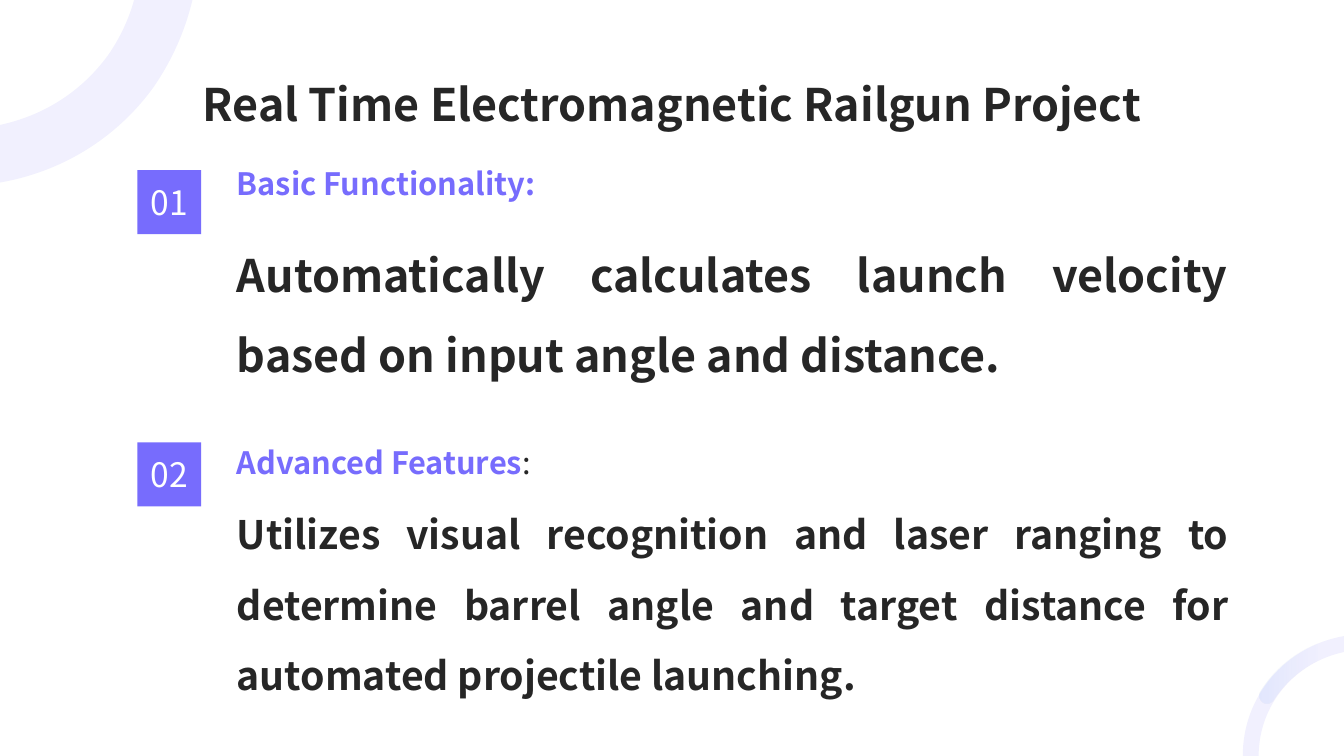
from lxml import etree
from pptx import Presentation
from pptx.dml.color import RGBColor
from pptx.enum import shapes, text
from pptx.oxml import ns
from pptx.util import Cm, Pt

FONT = "Noto Sans CJK SC"
VIOLET = RGBColor(0x77, 0x6C, 0xFD)
BLUE = RGBColor(0x5D, 0x95, 0xF1)
DARK = RGBColor(0x26, 0x26, 0x26)
WHITE = RGBColor(0xFF, 0xFF, 0xFF)

WIDTH, HEIGHT = 33.87, 19.05
TEXT_LEFT, TEXT_WIDTH = 5.97, 24.99
BADGE_LEFT, BADGE_SIZE = 3.46, 1.61

# Ring outlines in cm: runs of Bezier curves, joined by straight lines.
# Each run is a start point followed by three points per curve.
TOP_RING = [
    [(4.85, 0), (4.67, 0.76), (4.34, 1.52), (3.86, 2.21),
     (2.9, 3.53), (1.5, 4.34), (0, 4.6)],
    [(0, 3.15), (1.07, 2.92), (2.03, 2.34), (2.72, 1.4),
     (3.02, 0.97), (3.25, 0.48), (3.38, 0)],
]
BOTTOM_RING = [
    [(WIDTH, 16.03), (32.41, 16.28), (31.32, 17.53), (31.32, HEIGHT)],
    [(31.72, HEIGHT), (31.72, 17.75), (32.64, 16.69), (WIDTH, 16.43)],
]
RING_TIP = [
    [(WIDTH, 16.43), (33.12, 16.59), (32.51, 17.02), (32.11, 17.63),
     (32.05, 17.73), (31.93, 17.75), (31.85, 17.7),
     (31.75, 17.63), (31.72, 17.51), (31.78, 17.42),
     (32.23, 16.69), (32.99, 16.18), (WIDTH, 16.03)],
]

# Number, badge top, heading top, heading runs, body top, body size, body
SECTIONS = [
    ("01", 4.29, 4.16, [("Basic Functionality:", VIOLET, True)], 5.56, 32,
     "Automatically calculates launch velocity based on input angle "
     "and distance."),
    ("02", 11.15, 11.17,
     [("Advanced Features", VIOLET, True), (":", DARK, False)], 12.27, 28,
     "Utilizes visual recognition and laser ranging to determine barrel "
     "angle and target distance for automated projectile launching."),
]


def bend(sp, runs):
    """Turn each three line segments of a run into one Bezier curve."""
    lines = list(sp._element.iter(ns.qn("a:lnTo")))
    first = 0
    for run in runs:
        for i in range(first, first + len(run) - 1, 3):
            curve = etree.Element(ns.qn("a:cubicBezTo"))
            lines[i].addprevious(curve)
            for line in lines[i:i + 3]:
                curve.append(line[0])
                line.getparent().remove(line)
        first += len(run)  # skips the straight line to the next run


def add_ring(slide, runs):
    points = [(Cm(x), Cm(y)) for run in runs for x, y in run]
    builder = slide.shapes.build_freeform(*points[0])
    builder.add_line_segments(points[1:], close=True)
    sp = builder.convert_to_shape()
    bend(sp, runs)
    sp.shadow.inherit = False
    sp.line.fill.background()
    sp.fill.solid()
    sp.fill.fore_color.rgb = VIOLET
    return sp


def fade(sp, alphas):
    """One alpha gives an even tint, two give a fading blue gradient."""
    if len(alphas) == 2:
        sp.fill.gradient()
        sp.fill.gradient_angle = 359
        for stop, position in zip(sp.fill.gradient_stops, (0, 0.7)):
            stop.color.rgb = BLUE
            stop.position = position
    colors = list(sp._element.spPr.iter(ns.qn("a:srgbClr")))
    for color, percent in zip(colors, alphas):
        alpha = etree.SubElement(color, ns.qn("a:alpha"))
        alpha.set("val", str(percent * 1000))


def write(sp, runs, size, align, anchor):
    """Fill a shape with one paragraph of (text, colour, bold) runs."""
    tf = sp.text_frame
    tf.word_wrap = True
    tf.auto_size = text.MSO_AUTO_SIZE.NONE
    tf.vertical_anchor = anchor
    tf.margin_left = tf.margin_top = tf.margin_right = tf.margin_bottom = 0
    p = tf.paragraphs[0]
    p.alignment = align
    p.font.name = FONT
    p.font.size = Pt(size)
    for words, color, bold in runs:
        r = p.add_run()
        r.text = words
        r.font.name = FONT
        r.font.size = Pt(size)
        r.font.color.rgb = color
        r.font.bold = bold
    return p


def add_title(slide, words):
    title = slide.shapes.title
    title.left, title.top = Cm(1.94), Cm(1.09)
    title.width, title.height = Cm(30), Cm(2.21)
    write(title, [(words, DARK, True)], 32,
          text.PP_ALIGN.CENTER, text.MSO_ANCHOR.BOTTOM)
    slide.shapes._spTree.append(title._element)  # in front of the rings


def add_badge(slide, number, top):
    sp = slide.shapes.add_shape(
        shapes.MSO_SHAPE.RECTANGLE, Cm(BADGE_LEFT), Cm(top),
        Cm(BADGE_SIZE), Cm(BADGE_SIZE))
    sp.shadow.inherit = False
    sp.fill.solid()
    sp.fill.fore_color.rgb = VIOLET
    sp.line.fill.background()
    write(sp, [(number, WHITE, False)], 24,
          text.PP_ALIGN.CENTER, text.MSO_ANCHOR.MIDDLE)


def add_text(slide, runs, top, height, size):
    box = slide.shapes.add_textbox(
        Cm(TEXT_LEFT), Cm(top), Cm(TEXT_WIDTH), Cm(height))
    return write(box, runs, size, text.PP_ALIGN.JUSTIFY, text.MSO_ANCHOR.TOP)


def main():
    prs = Presentation()
    prs.slide_width, prs.slide_height = Cm(WIDTH), Cm(HEIGHT)
    slide = prs.slides.add_slide(prs.slide_layouts[5])

    # Corner rings
    for runs, alphas in ((TOP_RING, [10]), (BOTTOM_RING, [10]),
                         (RING_TIP, [10, 0])):
        fade(add_ring(slide, runs), alphas)

    # Title
    add_title(slide, "Real Time Electromagnetic Railgun Project")

    # Numbered sections
    for number, badge_top, head_top, head, body_top, size, body in SECTIONS:
        p = add_text(slide, [(body, DARK, True)], body_top, 4.98, size)
        p.line_spacing = 1.5
        add_text(slide, head, head_top, 1.27, 22)
        add_badge(slide, number, badge_top)

    prs.save("out.pptx")


if __name__ == "__main__":
    main()
